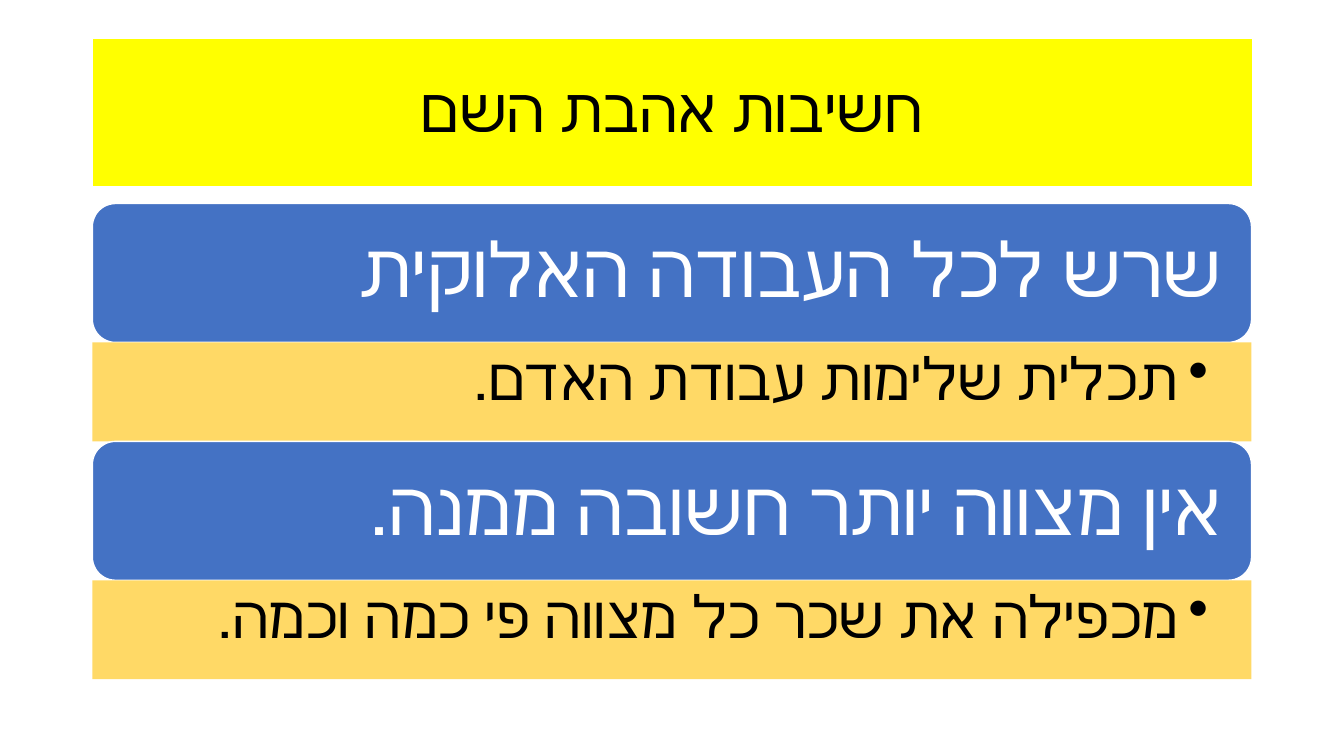
from lxml.etree import SubElement
from pptx import Presentation
from pptx.dml.color import RGBColor
from pptx.enum.dml import MSO_PATTERN as Pattern
from pptx.enum.lang import MSO_LANGUAGE_ID as Lang
from pptx.enum.shapes import MSO_SHAPE as Shape
from pptx.enum.text import MSO_ANCHOR as Anchor, PP_ALIGN as Align
from pptx.oxml.ns import qn
from pptx.util import Pt

# Content
TITLE = "חשיבות אהבת השם"
POINTS = [
    ("שרש לכל העבודה האלוקית", "תכלית שלימות עבודת האדם."),
    ("אין מצווה יותר חשובה ממנה.", "מכפילה את שכר כל מצווה פי כמה וכמה."),
]

# Style
FONT = "Calibri"
BLACK = RGBColor(0x00, 0x00, 0x00)
WHITE = RGBColor(0xFF, 0xFF, 0xFF)
YELLOW = RGBColor(0xFF, 0xFF, 0x00)
BLUE = RGBColor(0x44, 0x72, 0xC4)
GOLD = RGBColor(0xFF, 0xD9, 0x66)

# Layout, in points
LEFT, WIDTH = 66, 828
TITLE_TOP, TITLE_HIGH = 28.2, 104.4
LIST_TOP, HEAD_HIGH, NOTE_HIGH = 145.4, 99.2, 70.7
HANG = 22.5


def add_box(slide, kind, top, high, fill, line=None):
    box = slide.shapes.add_shape(kind, Pt(LEFT), Pt(top), Pt(WIDTH), Pt(high))
    box.shadow.inherit = False
    box.fill.solid()
    box.fill.fore_color.rgb = fill
    if line is None:
        box.line.fill.background()
    else:
        box.line.color.rgb = line
        box.line.width = Pt(1)
    return box


def put_text(box, text, size, color, align=Align.RIGHT, anchor=Anchor.MIDDLE,
             inset=(7.2, 3.6, 7.2, 3.6), after=0, bullet=False):
    frame = box.text_frame
    frame.word_wrap = True
    frame.vertical_anchor = anchor
    (frame.margin_left, frame.margin_top,
     frame.margin_right, frame.margin_bottom) = map(Pt, inset)
    para = frame.paragraphs[0]
    para.alignment = align
    para.line_spacing = 0.9
    para.space_after = Pt(after)
    props = para._p.get_or_add_pPr()
    props.set("rtl", "1")
    if bullet:
        props.set("lvl", "1")
        props.set("marL", str(Pt(HANG)))
        props.set("indent", str(-Pt(HANG)))
        SubElement(props, qn("a:buChar"), char="•")
    run = para.add_run()
    run.text = text
    font = run.font
    font.size = Pt(size)
    font.color.rgb = color
    font.name = FONT
    font.language_id = Lang.HEBREW


deck = Presentation()
deck.slide_width, deck.slide_height = Pt(960), Pt(540)
slide = deck.slides.add_slide(deck.slide_layouts[6])

# Title band
band = add_box(slide, Shape.RECTANGLE, TITLE_TOP, TITLE_HIGH, YELLOW)
band.fill.patterned()
band.fill.pattern = Pattern.DARK_VERTICAL
band.fill.fore_color.rgb = YELLOW
band.fill.back_color.rgb = WHITE
put_text(band, TITLE, 44, BLACK, align=Align.CENTER)

# Headings, each with its note below
for i, (head, note) in enumerate(POINTS):
    top = LIST_TOP + i * (HEAD_HIGH + NOTE_HIGH)
    box = add_box(slide, Shape.ROUNDED_RECTANGLE, top, HEAD_HIGH, BLUE, WHITE)
    put_text(box, head, 54, WHITE, inset=(16.5,) * 4, after=19)
    box = add_box(slide, Shape.RECTANGLE, top + HEAD_HIGH, NOTE_HIGH, GOLD)
    put_text(box, note, 42, BLACK, anchor=Anchor.TOP,
             inset=(26.6, 5, 30.2, 5), after=8.4, bullet=True)

deck.save("out.pptx")
